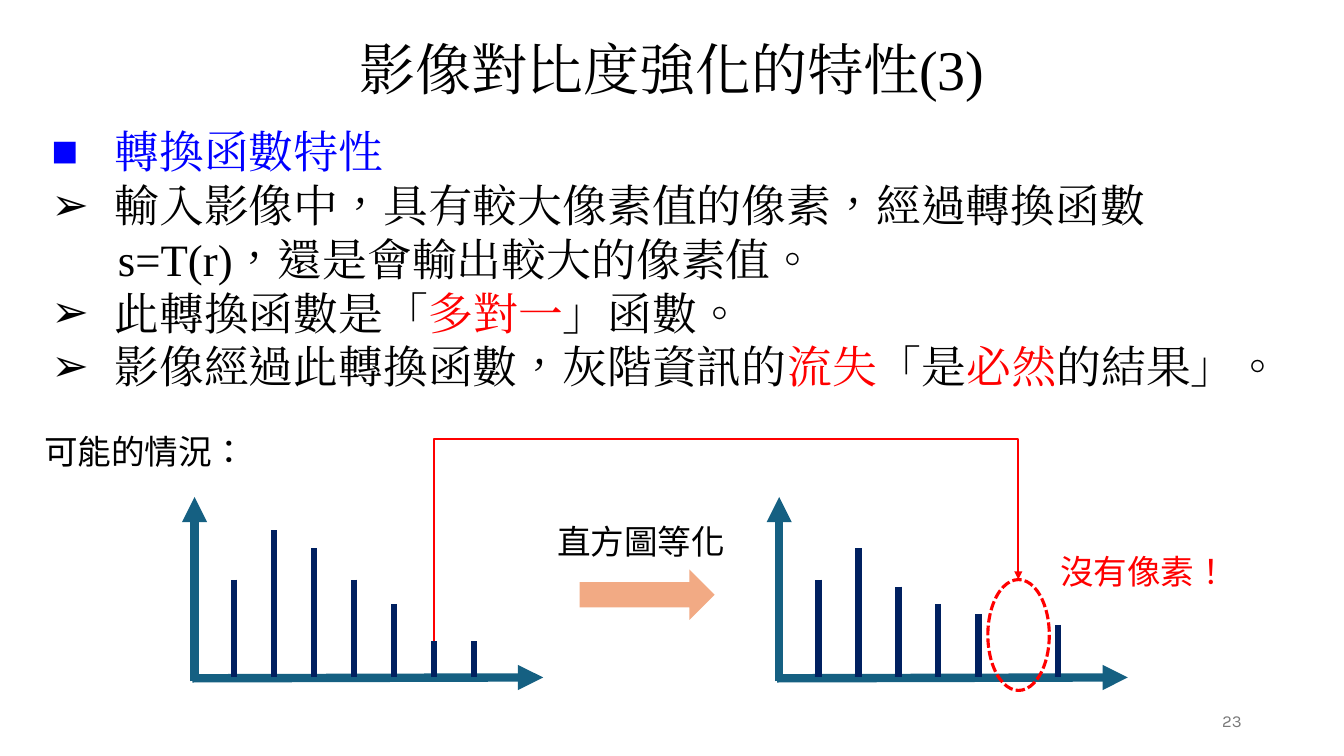
from lxml.etree import SubElement
from pptx import Presentation
from pptx.dml.color import RGBColor
from pptx.enum.dml import MSO_LINE
from pptx.enum.lang import MSO_LANGUAGE_ID
from pptx.enum.shapes import MSO_CONNECTOR, MSO_SHAPE
from pptx.enum.text import MSO_ANCHOR, MSO_AUTO_SIZE, PP_ALIGN
from pptx.oxml.ns import qn
from pptx.util import Pt

TITLE = "影像對比度強化的特性(3)"
POINTS = [
    ("■", [("轉換函數特性", "blue")]),
    ("➢", [("輸入影像中，具有較大像素值的像素，經過轉換函數", "black")]),
    ("", [("s=T(r)，還是會輸出較大的像素值。", "black")]),
    ("➢", [("此轉換函數是「", "black"), ("多對一", "red"), ("」函數。", "black")]),
    ("➢", [("影像經過此轉換函數，灰階資訊的", "black"), ("流失", "red"),
           ("「是", "black"), ("必然", "red"), ("的結果」。", "black")]),
]
LABELS = [
    ("可能的情況：", "black", 16.6, 302.4),
    ("直方圖等化", "black", 383, 366.5),
    ("沒有像素！", "red", 742.3, 388.1),
]
PAGE = "23"
BARS = [
    [414, 378.7, 391.7, 414, 431.3, 457.9, 457.9],
    [414, 391.7, 419, 431.3, 438.5, None, 446.4],
]

THEME = {
    "color": {"black": "000000", "blue": "0000FF", "red": "FF0000", "axis": "156082",
              "bar": "002060", "arrow": "F2AA84", "grey": "797979"},
    "size": {"title": 40, "body": 32, "label": 24, "page": 12},
    "font": {"title": "Times New Roman", "body": "Times New Roman",
             "label": "Noto Sans CJK SC", "page": "Karla"},
}
LEFT, SHIFT, STEP, BASE = 139, 417.6, 28.56, 483.9
FIRST = LEFT + 28
HANG, INSET = 45, 47.5


def tint(name):
    """Return a theme colour."""
    return RGBColor.from_string(THEME["color"][name])


def put(item, **values):
    """Set every given attribute on an item."""
    for name, value in values.items():
        setattr(item, name, value)


def place(shape, box):
    """Move and size a shape in points."""
    put(shape, **dict(zip(("left", "top", "width", "height"), map(Pt, box))))


def mark(para, sign):
    """Give a paragraph its bullet and indent."""
    props = para._p.get_or_add_pPr()
    props.set("marL", str(Pt(HANG if sign else INSET)))
    props.set("indent", str(Pt(-HANG if sign else 0)))
    if sign:
        SubElement(props, qn("a:buChar")).set("char", sign)
    else:
        SubElement(props, qn("a:buNone"))


def write(shape, rows, role, align, anchor=MSO_ANCHOR.TOP, top=3.6):
    """Write rows of coloured runs into a shape."""
    frame = shape.text_frame
    put(frame, word_wrap=True, auto_size=MSO_AUTO_SIZE.NONE, vertical_anchor=anchor,
        margin_left=Pt(7.2), margin_right=Pt(7.2), margin_top=Pt(top), margin_bottom=Pt(3.6))
    size, face = THEME["size"][role], THEME["font"][role]
    for spot, (sign, runs) in enumerate(rows):
        para = frame.add_paragraph() if spot else frame.paragraphs[0]
        if sign is not None:
            mark(para, sign)
        put(para, alignment=align, space_before=Pt(0), space_after=Pt(0),
            line_spacing=Pt(size * 1.2))
        for words, color in runs:
            run = para.add_run()
            run.text = words
            put(run.font, size=Pt(size), name=face,
                language_id=MSO_LANGUAGE_ID.TRADITIONAL_CHINESE)
            run.font.color.rgb = tint(color)
            SubElement(run._r.get_or_add_rPr(), qn("a:ea")).set("typeface", face)


def link(shapes, ends, color, width, tip=False, kind=MSO_CONNECTOR.STRAIGHT):
    """Draw a line, with an arrowhead if asked."""
    line = shapes.add_connector(kind, *map(Pt, ends))
    line.line.width = Pt(width)
    line.line.color.rgb = tint(color)
    props = line._element.spPr
    if tip:
        SubElement(props.find(qn("a:ln")), qn("a:tailEnd")).set("type", "triangle")
    SubElement(props, qn("a:effectLst"))
    return line


def plot(shapes, left, tops):
    """Draw one histogram with its axes."""
    link(shapes, (left, 486.7, left, 355), "axis", 6, True)
    link(shapes, (left - 1.5, 484.5, left + 249, BASE), "axis", 6, True)
    for spot, top in enumerate(tops):
        if top:
            side = left + FIRST - LEFT + spot * STEP
            link(shapes, (side, top, side, BASE), "bar", 4.5)


def bend(shapes):
    """Lead from the sixth bar to the empty level."""
    start = FIRST + 5 * STEP
    line = link(shapes, (start, 457.9, start + SHIFT, 414), "red", 1.5, True,
                MSO_CONNECTOR.ELBOW)
    geom = line._element.spPr.find(qn("a:prstGeom"))
    geom.set("prst", "bentConnector4")
    guides = geom.find(qn("a:avLst"))
    if guides is None:
        guides = SubElement(geom, qn("a:avLst"))
    for name, value in (("adj1", 0), ("adj2", 329200)):
        guide = SubElement(guides, qn("a:gd"))
        guide.set("name", name)
        guide.set("fmla", f"val {value}")


def main():
    """Build and save the slide."""
    deck = Presentation()
    put(deck, slide_width=Pt(960), slide_height=Pt(540))
    slide = deck.slides.add_slide(deck.slide_layouts[1])
    shapes = slide.shapes
    title, body = shapes.title, slide.placeholders[1]
    place(title, (0, 20.9, 960, 55.4))
    write(title, [(None, [(TITLE, "black")])], "title", PP_ALIGN.CENTER)
    place(body, (29.5, 85, 905.8, 200.9))
    write(body, POINTS, "body", PP_ALIGN.LEFT)
    for spot, tops in enumerate(BARS):
        plot(shapes, LEFT + spot * SHIFT, tops)

    arrow = shapes.add_shape(MSO_SHAPE.RIGHT_ARROW, *map(Pt, (414, 406.8, 96.5, 36)))
    arrow.shadow.inherit = False
    arrow.fill.solid()
    arrow.fill.fore_color.rgb = tint("arrow")
    arrow.line.fill.background()

    ring = shapes.add_shape(MSO_SHAPE.OVAL, *map(Pt, (705.6, 414, 43.9, 79.2)))
    ring.shadow.inherit = False
    ring.fill.background()
    ring.line.color.rgb = tint("red")
    put(ring.line, width=Pt(2.25), dash_style=MSO_LINE.SQUARE_DOT)
    bend(shapes)

    for words, color, left, top in LABELS:
        label = shapes.add_textbox(*map(Pt, (left, top, 149.8, 36)))
        write(label, [(None, [(words, color)])], "label", PP_ALIGN.CENTER, top=5.4)
    page = shapes.add_textbox(*map(Pt, (678.2, 500.4, 216, 28.8)))
    write(page, [(None, [(PAGE, "grey")])], "page", PP_ALIGN.RIGHT, MSO_ANCHOR.MIDDLE)
    deck.save("out.pptx")


if __name__ == "__main__":
    main()
